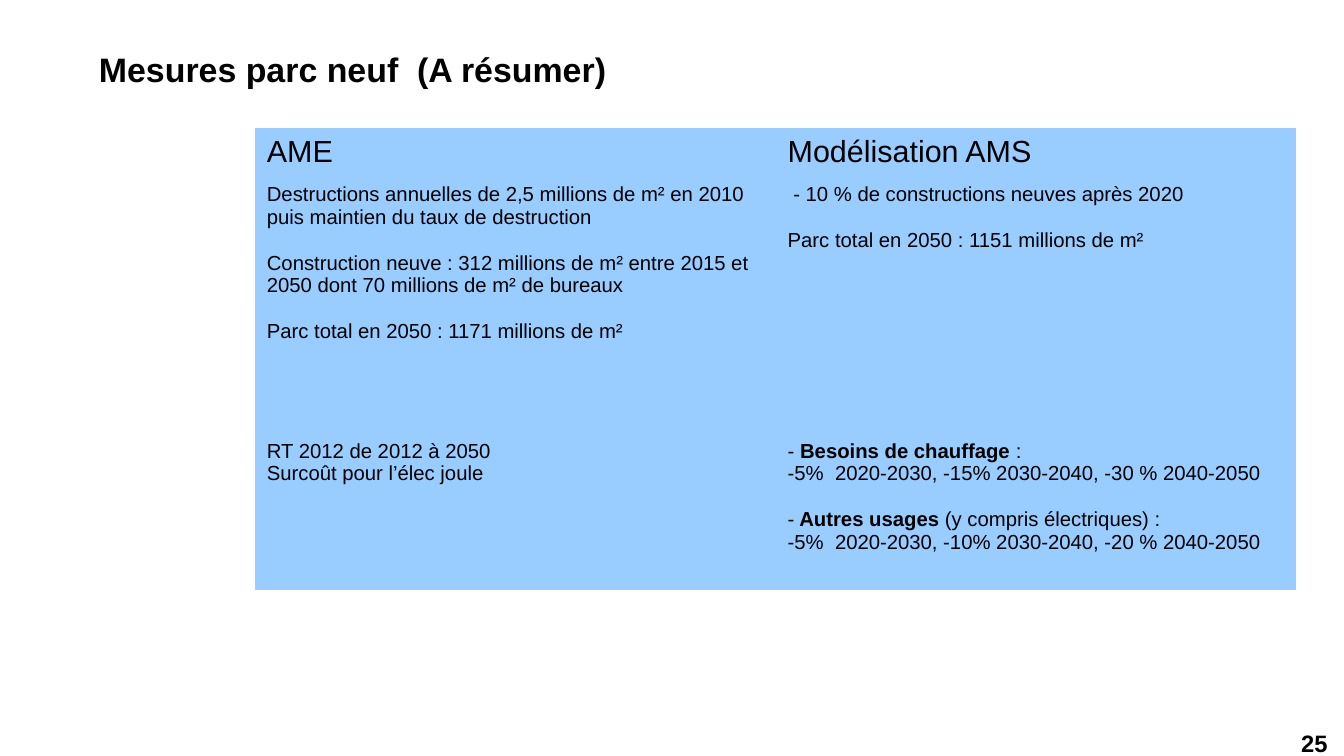
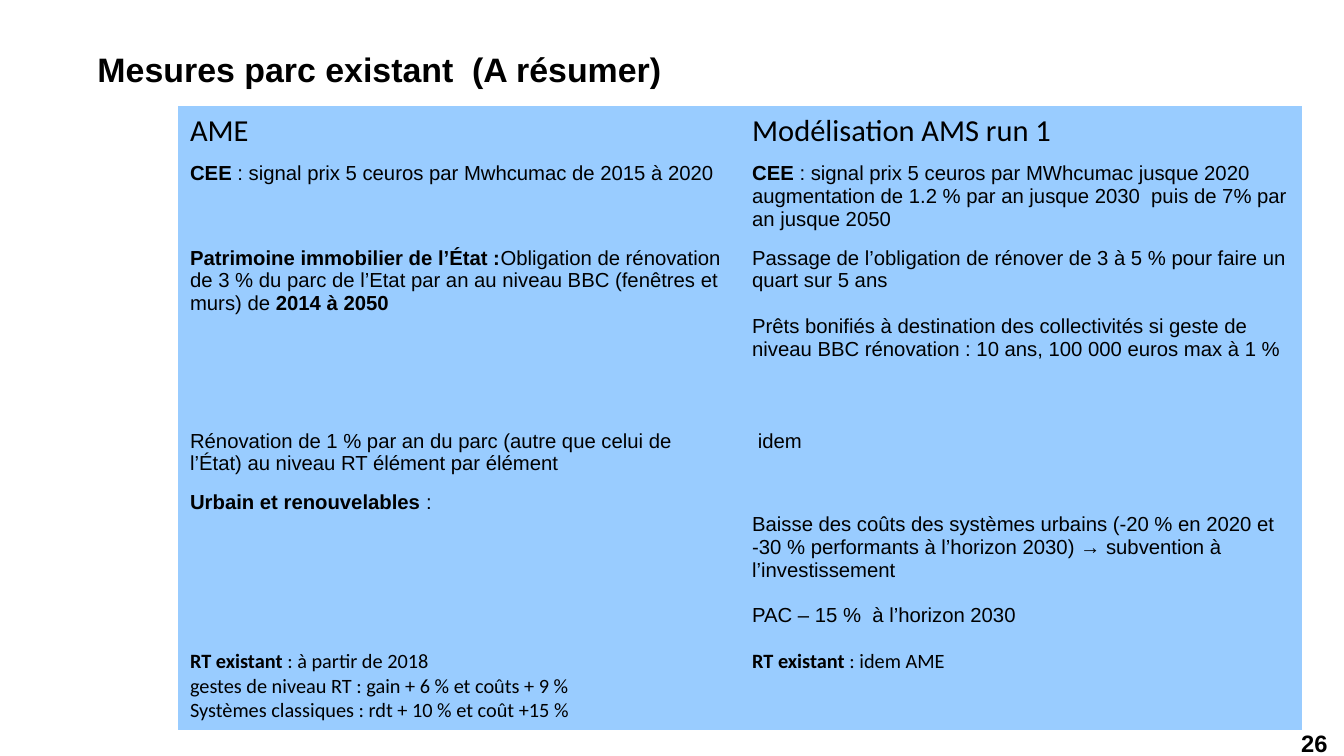
from pptx import Presentation
from pptx.dml.color import RGBColor
from pptx.enum.text import MSO_ANCHOR, PP_ALIGN
from pptx.util import Cm, Pt

BLACK = RGBColor(0x00, 0x00, 0x00)
SKY_BLUE = RGBColor(0x99, 0xCC, 0xFF)
LEFT, RIGHT = PP_ALIGN.LEFT, PP_ALIGN.RIGHT
MIDDLE = MSO_ANCHOR.MIDDLE
ARIAL, CALIBRI = "Arial", "Calibri"
PLAIN_TABLE_STYLE = "{2D5ABB26-0587-4C30-8999-92F81FD0307C}"
TITLE_ONLY = 5
HEADING, BODY = 18, 12
BLOCK_GAP = Pt(13.5)
CELL_TOP, LOWERED_CELL_TOP = Cm(0.13), Cm(0.6)

# A row is height in cm, font, size, then its cells. A cell is a list of
# blocks set apart by a gap, a block a list of lines; **...** marks bold.
SLIDES = [
    {
        "number": 25,
        "title": "Mesures parc neuf  (A résumer)",
        "title_left": 2.06,
        "table_at": (5.31, 2.67),
        "column_width": 10.85,
        "lowered": set(),
        "rows": [
            (1.02, ARIAL, HEADING, [[["AME"]], [["Modélisation AMS"]]]),
            (5.34, ARIAL, BODY, [
                [["Destructions annuelles de 2,5 millions de m² en 2010 puis maintien du taux de destruction"],
                 ["Construction neuve : 312 millions de m² entre 2015 et 2050 dont 70 millions de m² de bureaux"],
                 ["Parc total en 2050 : 1171 millions de m²"]],
                [[" - 10 % de constructions neuves après 2020"],
                 ["Parc total en 2050 : 1151 millions de m²"]],
            ]),
            (3.27, ARIAL, BODY, [
                [["RT 2012 de 2012 à 2050", "Surcoût pour l’élec joule"]],
                [["- **Besoins de chauffage** :",
                  "-5%  2020-2030, -15% 2030-2040, -30 % 2040-2050"],
                 ["-** Autres usages** (y compris électriques) :",
                  "-5%  2020-2030, -10% 2030-2040, -20 % 2040-2050"]],
            ]),
        ],
    },
    {
        "number": 26,
        "title": "Mesures parc existant  (A résumer)",
        "title_left": 2.03,
        "table_at": (3.71, 2.21),
        "column_width": 11.71,
        "lowered": {(4, 1)},
        "rows": [
            (1.04, CALIBRI, HEADING, [[["AME"]], [["Modélisation AMS run 1"]]]),
            (1.76, ARIAL, BODY, [
                [["**CEE** : signal prix 5 ceuros par Mwhcumac de 2015 à 2020"]],
                [["**CEE** : signal prix 5 ceuros par MWhcumac jusque 2020 augmentation de 1.2 % "
                  "par an jusque 2030  puis de 7% par an jusque 2050"]],
            ]),
            (3.81, ARIAL, BODY, [
                [["**Patrimoine immobilier de l’État :**Obligation de rénovation de 3 % du parc "
                  "de l’Etat par an au niveau BBC (fenêtres et murs) de **2014 à 2050**"]],
                [["Passage de l’obligation de rénover de 3 à 5 % pour faire un quart sur 5 ans"],
                 ["Prêts bonifiés à destination des collectivités si geste de niveau BBC "
                  "rénovation : 10 ans, 100 000 euros max à 1 %"]],
            ]),
            (1.27, ARIAL, BODY, [
                [["Rénovation de 1 % par an du parc (autre que celui de l’État) au niveau RT "
                  "élément par élément"]],
                [[" idem"]],
            ]),
            (3.3, ARIAL, BODY, [
                [["**Urbain et renouvelables** :"]],
                [["Baisse des coûts des systèmes urbains (-20 % en 2020 et -30 % performants "
                  "à l’horizon 2030) → subvention à l’investissement"],
                 ["PAC – 15 %  à l’horizon 2030"]],
            ]),
            (1.8, CALIBRI, BODY, [
                [["**RT existant** : à partir de 2018",
                  "gestes de niveau RT : gain + 6 % et coûts + 9 %",
                  "Systèmes classiques : rdt + 10 % et coût +15 %"]],
                [["**RT existant** : idem AME"]],
            ]),
        ],
    },
]


def set_font(span, name, size, bold):
    span.font.name = name
    span.font.size = Pt(size)
    span.font.bold = bold
    span.font.color.rgb = BLACK


def write_bold_line(frame, text, size, alignment):
    """Fill a frame without margins with one bold line."""
    frame.margin_left = frame.margin_right = frame.margin_top = frame.margin_bottom = 0
    frame.word_wrap = True
    frame.text = text
    para = frame.paragraphs[0]
    para.alignment = alignment
    set_font(para.runs[0], ARIAL, size, True)


def write_cell(cell, blocks, font, size, top):
    cell.fill.solid()
    cell.fill.fore_color.rgb = SKY_BLUE
    cell.margin_left = cell.margin_right = Cm(0.25)
    cell.margin_top, cell.margin_bottom = top, CELL_TOP
    frame = cell.text_frame
    para = None
    for block in blocks:
        for position, line in enumerate(block):
            if para is None:
                para = frame.paragraphs[0]
            else:
                para = frame.add_paragraph()
                para.space_before = BLOCK_GAP if position == 0 else Pt(0)
            for index, text in enumerate(line.split("**")):
                if text:
                    span = para.add_run()
                    span.text = text
                    set_font(span, font, size, index % 2 == 1)


def add_measures_table(page, content):
    rows = content["rows"]
    left, top = content["table_at"]
    width = content["column_width"]
    height = sum(row[0] for row in rows)
    table = page.shapes.add_table(
        len(rows), 2, Cm(left), Cm(top), Cm(2 * width), Cm(height)).table
    table.first_row = table.horz_banding = False
    table._tbl.tblPr[0].text = PLAIN_TABLE_STYLE
    for column in table.columns:
        column.width = Cm(width)
    for r, (row_height, font, size, cells) in enumerate(rows):
        table.rows[r].height = Cm(row_height)
        for c, blocks in enumerate(cells):
            cell_top = LOWERED_CELL_TOP if (r, c) in content["lowered"] else CELL_TOP
            write_cell(table.cell(r, c), blocks, font, size, cell_top)


def add_page(deck, content):
    page = deck.slides.add_slide(deck.slide_layouts[TITLE_ONLY])
    title = page.shapes.title
    title.left, title.top = Cm(content["title_left"]), Cm(0.43)
    title.width, title.height = Cm(25.18), Cm(2.01)
    write_bold_line(title.text_frame, content["title"], 20, LEFT)
    title.text_frame.vertical_anchor = MIDDLE
    add_measures_table(page, content)
    number = page.shapes.add_textbox(Cm(25.12), Cm(15.19), Cm(2.54), Cm(0.56))
    write_bold_line(number.text_frame, str(content["number"]), 14, RIGHT)


def main():
    deck = Presentation()
    deck.slide_width, deck.slide_height = Cm(28), Cm(15.75)
    for content in SLIDES:
        add_page(deck, content)
    deck.save("out.pptx")


if __name__ == "__main__":
    main()
